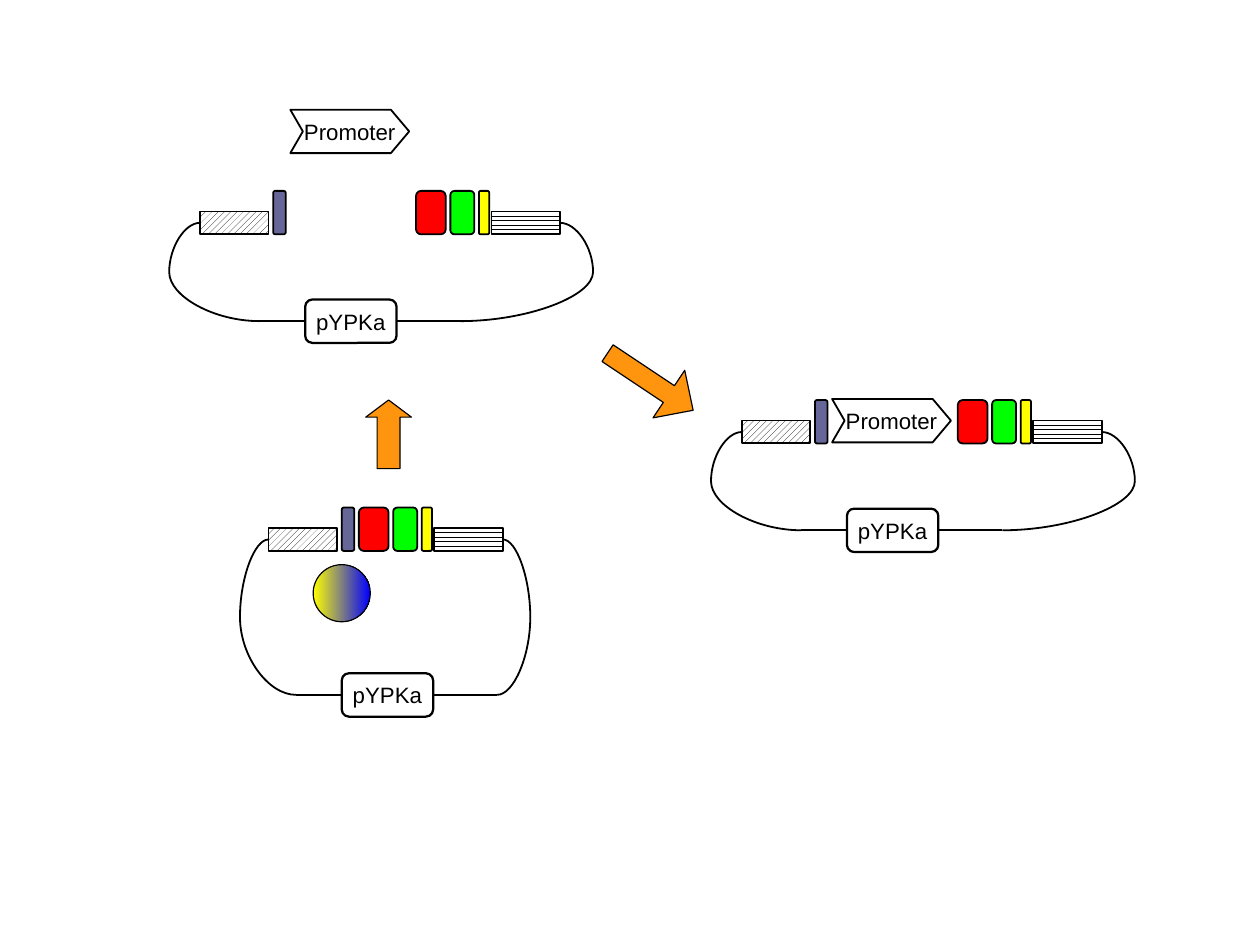
from lxml import etree
from pptx import Presentation
from pptx.dml.color import RGBColor
from pptx.enum.dml import MSO_PATTERN
from pptx.enum.shapes import MSO_CONNECTOR, MSO_SHAPE
from pptx.enum.text import MSO_ANCHOR, PP_ALIGN
from pptx.oxml.ns import qn
from pptx.util import Cm, Inches, Pt

RECTANGLE = MSO_SHAPE.RECTANGLE
ROUNDED = MSO_SHAPE.ROUNDED_RECTANGLE
OVAL = MSO_SHAPE.OVAL
RIGHT_ARROW = MSO_SHAPE.RIGHT_ARROW
UP_ARROW = MSO_SHAPE.UP_ARROW
STRAIGHT = MSO_CONNECTOR.STRAIGHT
CURVE = MSO_CONNECTOR.CURVE
DIAGONAL_HATCH = MSO_PATTERN.WIDE_UPWARD_DIAGONAL
HORIZONTAL_HATCH = MSO_PATTERN.HORIZONTAL
MIDDLE = MSO_ANCHOR.MIDDLE
CENTER = PP_ALIGN.CENTER

BLACK = RGBColor(0x00, 0x00, 0x00)
WHITE = RGBColor(0xFF, 0xFF, 0xFF)
SLATE = RGBColor(0x66, 0x66, 0x99)
RED = RGBColor(0xFF, 0x00, 0x00)
GREEN = RGBColor(0x00, 0xFF, 0x00)
YELLOW = RGBColor(0xFF, 0xFF, 0x00)
BLUE = RGBColor(0x00, 0x00, 0xFF)
ORANGE = RGBColor(0xFF, 0x95, 0x0E)

THIN, MEDIUM = 1.13, 1.42
GENE_HEIGHT = 0.38
FLANK_WIDTH, FLANK_HEIGHT = 0.6, 0.2
LABEL_WIDTH = 0.8
INSERT_GAP = 1.1


def style_outline(shape, width):
    shape.shadow.inherit = False
    shape.line.color.rgb = BLACK
    shape.line.width = Pt(width)


def add_block(slide, preset, left, top, width, height, color=None,
              outline=THIN, adjustments=()):
    block = slide.shapes.add_shape(preset, Inches(left), Inches(top),
                                   Inches(width), Inches(height))
    for index, value in enumerate(adjustments):
        block.adjustments[index] = value
    if color is None:
        block.fill.background()
    else:
        block.fill.solid()
        block.fill.fore_color.rgb = color
    style_outline(block, outline)
    return block


def add_label(shape, wording):
    frame = shape.text_frame
    frame.text = wording
    frame.word_wrap = False
    frame.vertical_anchor = MIDDLE
    paragraph = frame.paragraphs[0]
    paragraph.alignment = CENTER
    font = paragraph.runs[0].font
    font.name = "Arial"
    font.size = Pt(14)
    font.color.rgb = BLACK


def add_flank(slide, left, top, hatch):
    flank = add_block(slide, RECTANGLE, left, top, FLANK_WIDTH, FLANK_HEIGHT)
    flank.fill.patterned()
    flank.fill.pattern = hatch
    flank.fill.fore_color.rgb = BLACK
    flank.fill.back_color.rgb = WHITE


def add_strand(slide, start, end, width, bulge=0):
    """Join two points; a bulge curves the strand outwards by that many inches."""
    strand = slide.shapes.add_connector(CURVE if bulge else STRAIGHT,
                                        *(Inches(v) for v in start + end))
    strand.line.color.rgb = BLACK
    strand.line.width = Pt(width)
    properties = strand._element.spPr
    etree.SubElement(properties, qn("a:effectLst"))
    if bulge:
        ratio = -bulge / abs(end[0] - start[0])
        guides = properties.find(qn("a:prstGeom")).find(qn("a:avLst"))
        etree.SubElement(guides, qn("a:gd"), name="adj1",
                         fmla=f"val {round(ratio * 100000)}")


def add_promoter(slide, left, top):
    bottom, middle = top + GENE_HEIGHT, top + GENE_HEIGHT / 2
    corners = [(left + 0.88, top), (left + 1.04, middle),
               (left + 0.88, bottom), (left, bottom), (left + 0.11, middle)]
    builder = slide.shapes.build_freeform(Inches(left), Inches(top))
    builder.add_line_segments([(Inches(x), Inches(y)) for x, y in corners])
    promoter = builder.convert_to_shape()
    promoter.fill.background()
    style_outline(promoter, THIN)
    add_label(promoter, "Promoter")


def add_plasmid(slide, left, top, label_left, label_top, bulges, gap=0):
    """Draw a vector with its genes; gap is the room made for an insert."""
    flank_top = top + 0.18
    right_flank = left + 1.45 + gap
    add_flank(slide, left, flank_top, DIAGONAL_HATCH)
    add_flank(slide, right_flank, flank_top, HORIZONTAL_HATCH)

    genes = [(0.64, 0.11, SLATE), (0.79 + gap, 0.26, RED),
             (1.09 + gap, 0.21, GREEN), (1.34 + gap, 0.09, YELLOW)]
    for offset, width, color in genes:
        add_block(slide, ROUNDED, left + offset, top, width, GENE_HEIGHT,
                  color, adjustments=[0.167])

    name_box = add_block(slide, ROUNDED, label_left, label_top, LABEL_WIDTH,
                         GENE_HEIGHT, outline=MEDIUM, adjustments=[0.167])
    add_label(name_box, "pYPKa")

    base = label_top + GENE_HEIGHT / 2
    flank_middle = flank_top + FLANK_HEIGHT / 2
    label_right = label_left + LABEL_WIDTH
    sides = [(left, label_left, label_left - 0.4),
             (right_flank + FLANK_WIDTH, label_right, label_right + 0.56)]
    for (flank_edge, label_edge, turn), bulge in zip(sides, bulges):
        add_strand(slide, (flank_edge, flank_middle), (turn, base), THIN, bulge)
        add_strand(slide, (label_edge, base), (turn, base), MEDIUM)


def add_enzyme(slide):
    enzyme = add_block(slide, OVAL, 2.74, 4.94, 0.5, 0.5, outline=0)
    enzyme.fill.gradient()
    enzyme.fill.gradient_angle = 0
    for stop, color in zip(enzyme.fill.gradient_stops, (YELLOW, BLUE)):
        stop.color.rgb = color


def main():
    deck = Presentation()
    deck.slide_width, deck.slide_height = Cm(28), Cm(21)
    slide = deck.slides.add_slide(deck.slide_layouts[6])

    add_plasmid(slide, 2.35, 4.44, 2.99, 5.89, bulges=(0.25, 0.24))
    add_enzyme(slide)
    for left, top, promoter_top in [(1.75, 1.67, 0.96), (6.49, 3.5, 3.49)]:
        add_plasmid(slide, left, top, left + 0.92, top + 0.95,
                    bulges=(0.27, 0.29), gap=INSERT_GAP)
        add_promoter(slide, left + 0.79, promoter_top)

    add_block(slide, UP_ARROW, 3.2, 3.5, 0.4, 0.6, ORANGE, 0, [0.5, 0.375])
    ligation = add_block(slide, RIGHT_ARROW, 5.24, 3.09, 0.9, 0.5, ORANGE, 0,
                         [0.35, 0.51])
    ligation.rotation = 33.7

    deck.save("out.pptx")


if __name__ == "__main__":
    main()
